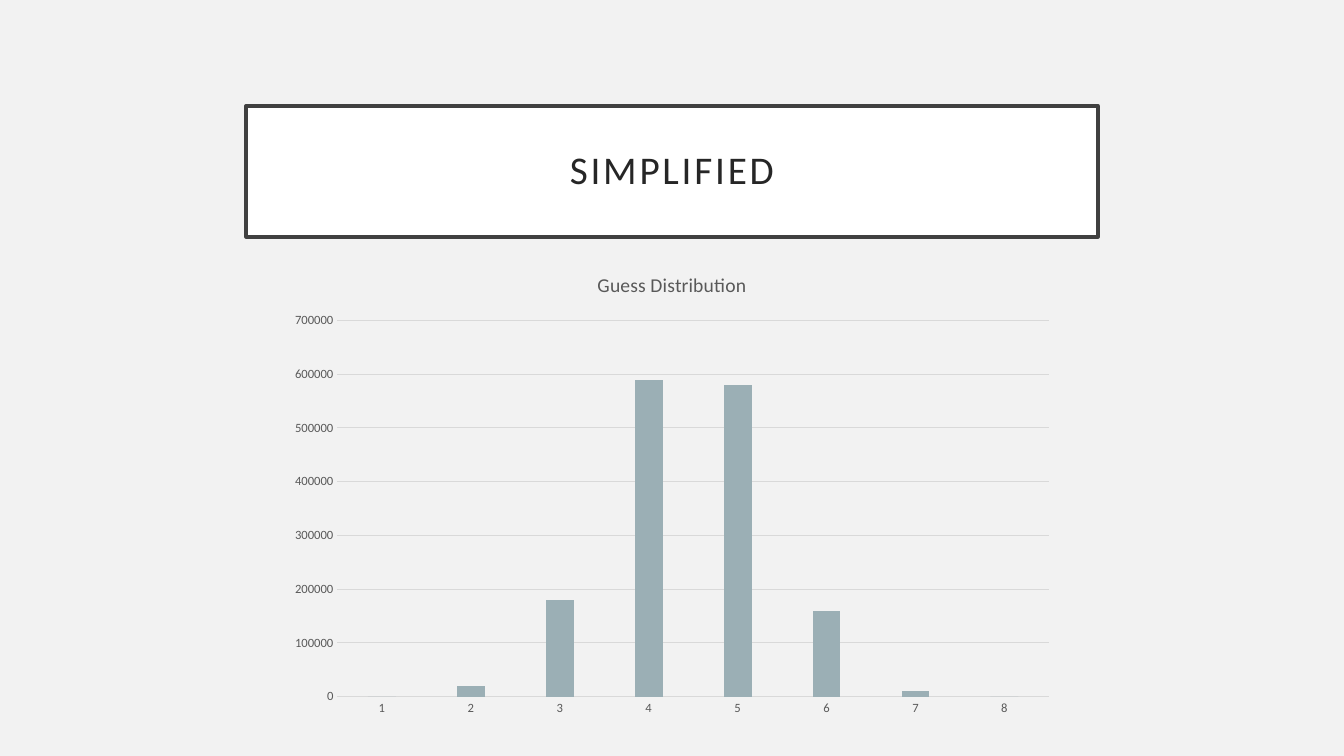
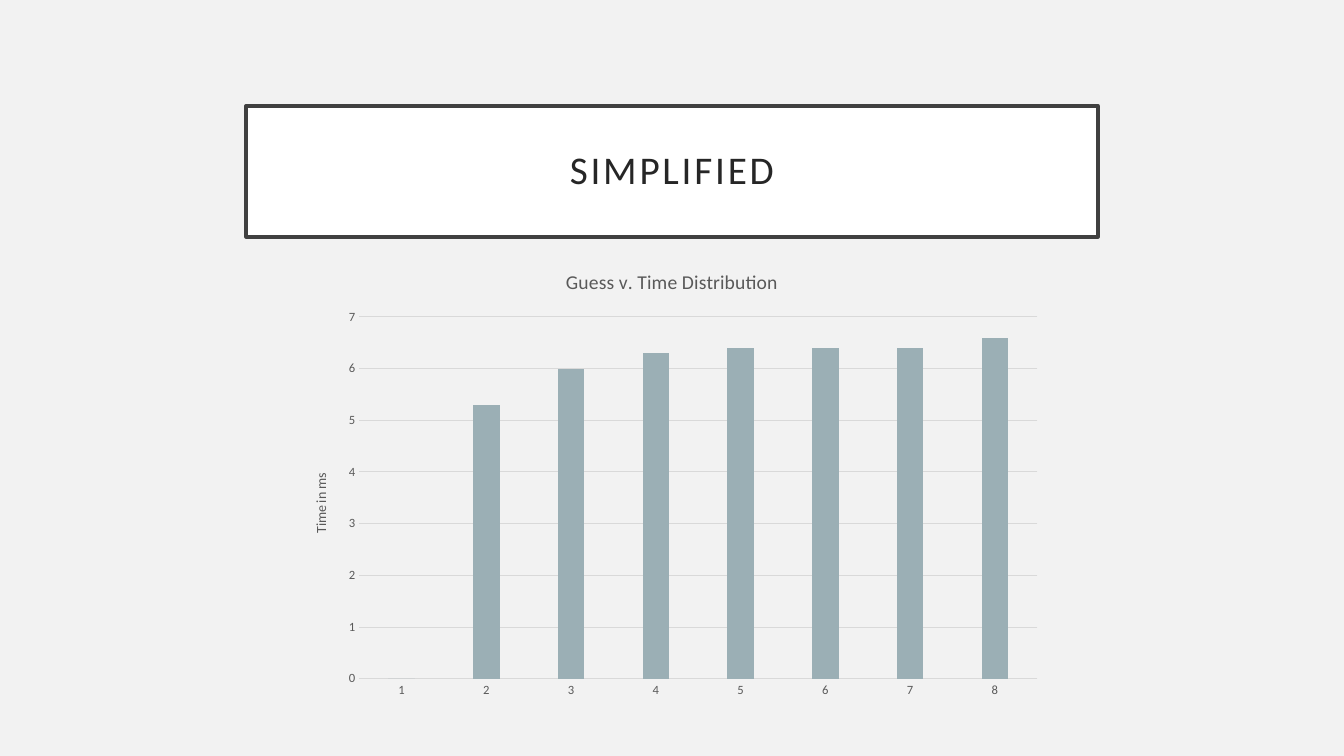
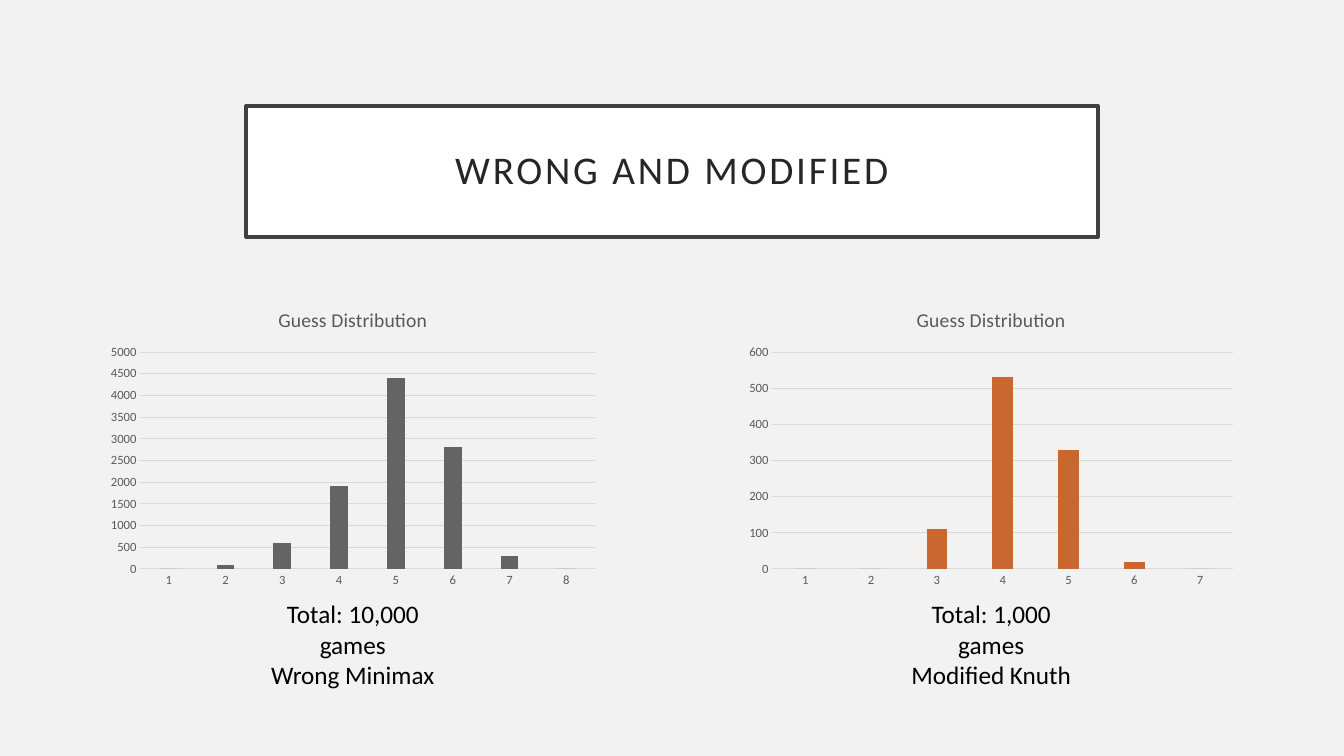
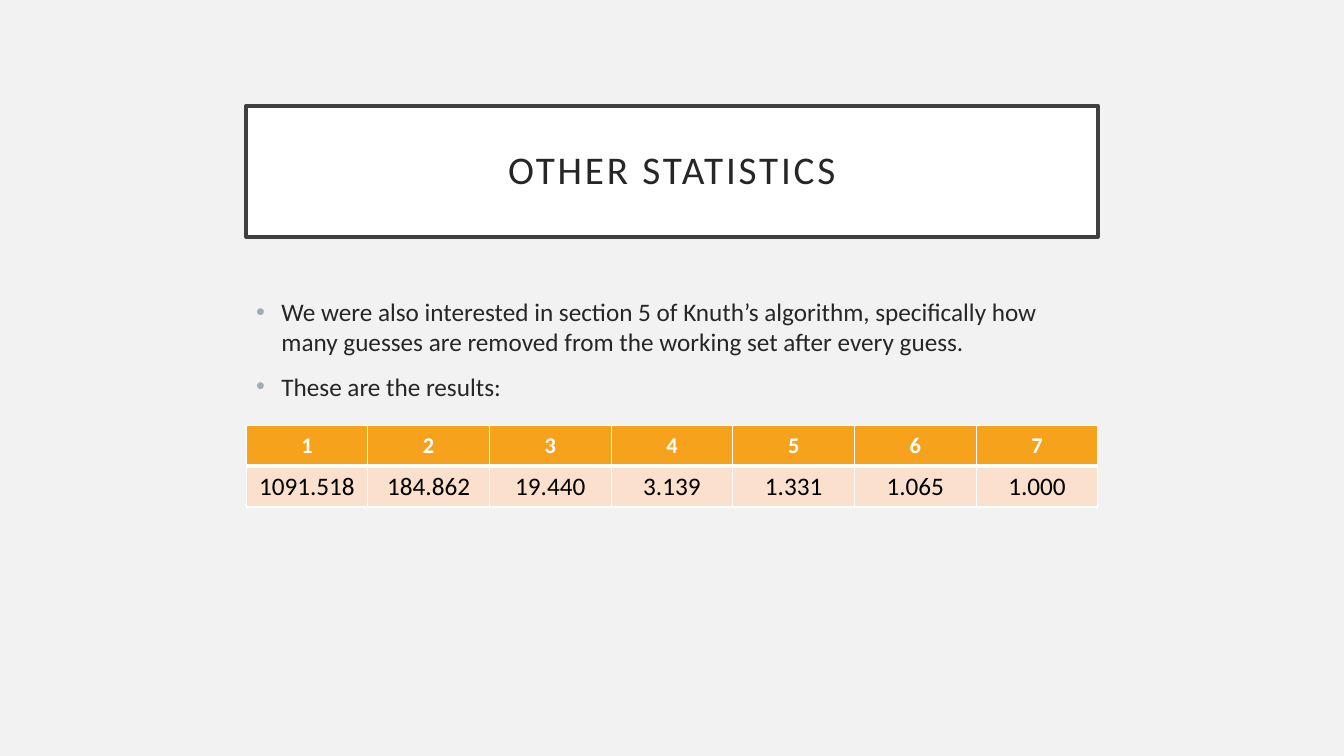
import dataclasses

import lxml.etree
import pptx
import pptx.chart.data
import pptx.dml.color
import pptx.enum.chart
import pptx.enum.text
import pptx.oxml.ns
import pptx.util


@dataclasses.dataclass(frozen=True)
class Theme:
    """Colours, type sizes and the grid shared by all slides."""
    font: str = "Calibri"
    page: str = "F2F2F2"
    white: str = "FFFFFF"
    black: str = "000000"
    frame: str = "404040"
    ink: str = "262626"
    label: str = "595959"
    grid: str = "D9D9D9"
    blue: str = "9BAFB5"
    grey: str = "646464"
    rust: str = "C96731"
    header: str = "F6A21D"
    row: str = "FBE0CD"
    title_size: int = 28
    body_size: int = 18
    header_size: int = 16
    chart_title_size: int = 14
    axis_title_size: int = 10
    axis_size: int = 9
    columns: int = 40
    rows: float = 22.5
    unit: float = 1 / 3
    middle: float = 20
    panel: float = 25.35


THEME = Theme()
Pt = pptx.util.Pt
ALIGN = pptx.enum.text.PP_ALIGN
ANCHOR = pptx.enum.text.MSO_ANCHOR


def units(n):
    """Convert grid units to a length."""
    return pptx.util.Inches(n * THEME.unit)


def box(centre, top, width, height):
    """Return left, top, width and height of a box centred on a column."""
    return [units(n) for n in (centre - width / 2, top, width, height)]


def rgb(color):
    """Return a colour object for a hex string."""
    return pptx.dml.color.RGBColor.from_string(color)


def set_font(font, size, color, bold=False):
    """Apply the theme font with a size and colour."""
    font.name, font.size, font.bold = THEME.font, Pt(size), bold
    font.color.rgb = rgb(color)


def set_line(line, color, width):
    """Give a line a solid colour and a width in points."""
    line.color.rgb = rgb(color)
    line.width = Pt(width)


def add_run(p, text, size, color, bold=False):
    """Add one formatted run to a paragraph."""
    r = p.add_run()
    r.text = text
    set_font(r.font, size, color, bold)
    return r


def paragraphs(tf, texts):
    """Yield a paragraph of the frame with each text."""
    for i, text in enumerate(texts):
        yield tf.add_paragraph() if i else tf.paragraphs[0], text


def sub(parent, tag, **attrs):
    """Append a DrawingML child element."""
    return lxml.etree.SubElement(parent, pptx.oxml.ns.qn(tag), **attrs)


def place(sp, area):
    """Move and resize a shape."""
    sp.left, sp.top, sp.width, sp.height = area


def add_slide(prs, title, layout="Title Only"):
    """Add a slide with the framed title."""
    s = prs.slides.add_slide(prs.slide_layouts.get_by_name(layout))
    sp = s.shapes.title
    place(sp, box(THEME.middle, 3.15, THEME.panel, 3.9))
    sp.fill.solid()
    sp.fill.fore_color.rgb = rgb(THEME.white)
    set_line(sp.line, THEME.frame, 2.5)
    tf = sp.text_frame
    tf.auto_size = pptx.enum.text.MSO_AUTO_SIZE.NONE
    tf.vertical_anchor = ANCHOR.MIDDLE
    tf.margin_left = tf.margin_right = pptx.util.Inches(0.2)
    tf.margin_top = tf.margin_bottom = pptx.util.Inches(0.2)
    p = tf.paragraphs[0]
    p.alignment, p.line_spacing = ALIGN.CENTER, 0.9
    r = add_run(p, title, THEME.title_size, THEME.ink)
    r.font._element.set("spc", "200")
    return s


def add_chart_title(owner, text, size):
    """Write the title of a chart or an axis."""
    p = owner.text_frame.paragraphs[0]
    add_run(p, text, size, THEME.label)


def add_columns(s, area, title, values, color, top, step, axis_title=None):
    """Add a column chart of values by guess number."""
    data = pptx.chart.data.CategoryChartData()
    data.categories = [str(i) for i in range(1, len(values) + 1)]
    data.add_series("Series 1", values)
    kind = pptx.enum.chart.XL_CHART_TYPE.COLUMN_CLUSTERED
    chart = s.shapes.add_chart(kind, *area, data).chart
    set_font(chart.font, THEME.axis_title_size, THEME.black)
    chart.has_legend = False
    chart.has_title = True
    chart.chart_title.include_in_layout = False
    add_chart_title(chart.chart_title, title, THEME.chart_title_size)

    plot = chart.plots[0]
    plot.gap_width, plot.overlap, plot.vary_by_categories = 219, -27, False
    fill = plot.series[0].format.fill
    fill.solid()
    fill.fore_color.rgb = rgb(color)

    cat, val = chart.category_axis, chart.value_axis
    for axis in (cat, val):
        axis.major_tick_mark = pptx.enum.chart.XL_TICK_MARK.NONE
        axis.minor_tick_mark = pptx.enum.chart.XL_TICK_MARK.NONE
        set_font(axis.tick_labels.font, THEME.axis_size, THEME.label)
    set_line(cat.format.line, THEME.grid, 0.75)
    val.format.line.fill.background()
    set_line(val.major_gridlines.format.line, THEME.grid, 0.75)
    val.minimum_scale, val.maximum_scale, val.major_unit = 0, top, step
    if axis_title:
        add_chart_title(val.axis_title, axis_title, THEME.axis_title_size)


def add_caption(s, area, lines):
    """Add a centred caption, one paragraph per line."""
    tf = s.shapes.add_textbox(*area).text_frame
    tf.word_wrap = True
    for p, text in paragraphs(tf, lines):
        p.alignment = ALIGN.CENTER
        add_run(p, text, THEME.body_size, THEME.black)


def add_bullets(s, area, items):
    """Fill the body placeholder with a bulleted list."""
    sp = s.placeholders[1]
    place(sp, area)
    tf = sp.text_frame
    tf.auto_size = pptx.enum.text.MSO_AUTO_SIZE.NONE
    indent = pptx.util.Inches(0.25)
    for p, text in paragraphs(tf, items):
        p.space_before, p.space_after = Pt(10), Pt(0)
        pPr = p._p.get_or_add_pPr()
        pPr.set("marL", str(indent))
        pPr.set("indent", str(-indent))
        sub(sub(pPr, "a:buClr"), "a:srgbClr", val=THEME.blue)
        sub(pPr, "a:buFont", typeface="Arial")
        sub(pPr, "a:buChar", char="•")
        add_run(p, text, THEME.body_size, THEME.ink)


def set_borders(cell, bottom):
    """Draw white cell borders, with the bottom width in points."""
    tcPr = cell._tc.get_or_add_tcPr()
    for i, (side, width) in enumerate(zip("LRTB", (1, 1, 1, bottom))):
        ln = sub(tcPr, f"a:ln{side}", w=str(Pt(width)))
        sub(sub(ln, "a:solidFill"), "a:srgbClr", val=THEME.white)
        tcPr.insert(i, ln)


def add_table(s, area, rows):
    """Add a table with a coloured header row."""
    head = (THEME.header, THEME.header_size, THEME.white, True, 3)
    plain = (THEME.row, THEME.body_size, THEME.black, False, 1)
    table = s.shapes.add_table(len(rows), len(rows[0]), *area).table
    for i, row in enumerate(rows):
        fill, size, color, bold, bottom = plain if i else head
        for j, text in enumerate(row):
            cell = table.cell(i, j)
            cell.vertical_anchor = ANCHOR.MIDDLE
            cell.fill.solid()
            cell.fill.fore_color.rgb = rgb(fill)
            set_borders(cell, bottom)
            p = cell.text_frame.paragraphs[0]
            p.alignment = ALIGN.CENTER
            add_run(p, text, size, color, bold)


def main():
    """Build and save the presentation."""
    prs = pptx.Presentation()
    prs.slide_width, prs.slide_height = units(THEME.columns), units(THEME.rows)
    background = prs.slide_master.background.fill
    background.solid()
    background.fore_color.rgb = rgb(THEME.page)

    s = add_slide(prs, "SIMPLIFIED")
    add_columns(s, box(THEME.middle, 7.53, 23.37, 14.04), "Guess Distribution",
                [0, 20000, 180000, 590000, 580000, 160000, 10000, 0],
                THEME.blue, 700000, 100000)

    s = add_slide(prs, "SIMPLIFIED")
    add_columns(s, box(THEME.middle, 7.44, 22.65, 13.59), "Guess v. Time Distribution",
                [0, 5.3, 6, 6.3, 6.4, 6.4, 6.4, 6.6],
                THEME.blue, 7, 1, "Time in ms")

    s = add_slide(prs, "WRONG AND MODIFIED")
    halves = [
        (10.5, [0, 100, 600, 1900, 4400, 2800, 300, 0], THEME.grey, 5000, 500,
         ["Total: 10,000 games", "Wrong Minimax"]),
        (29.5, [0, 0, 110, 530, 330, 20, 0], THEME.rust, 600, 100,
         ["Total: 1,000 games", "Modified Knuth"]),
    ]
    for centre, values, color, top, step, caption in halves:
        add_columns(s, box(centre, 8.67, 15, 9), "Guess Distribution",
                    values, color, top, step)
        add_caption(s, box(centre, 17.67, 6, 3), caption)

    s = add_slide(prs, "OTHER STATISTICS", "Title and Content")
    add_bullets(s, box(THEME.middle, 8.67, THEME.panel, 4.83), [
        "We were also interested in section 5 of Knuth’s algorithm, specifically "
        "how many guesses are removed from the working set after every guess.",
        "These are the results:",
    ])
    add_table(s, box(THEME.middle, 12.66, THEME.panel, 2.43), [
        ["1", "2", "3", "4", "5", "6", "7"],
        ["1091.518", "184.862", "19.440", "3.139", "1.331", "1.065", "1.000"],
    ])
    prs.save("out.pptx")


if __name__ == "__main__":
    main()
